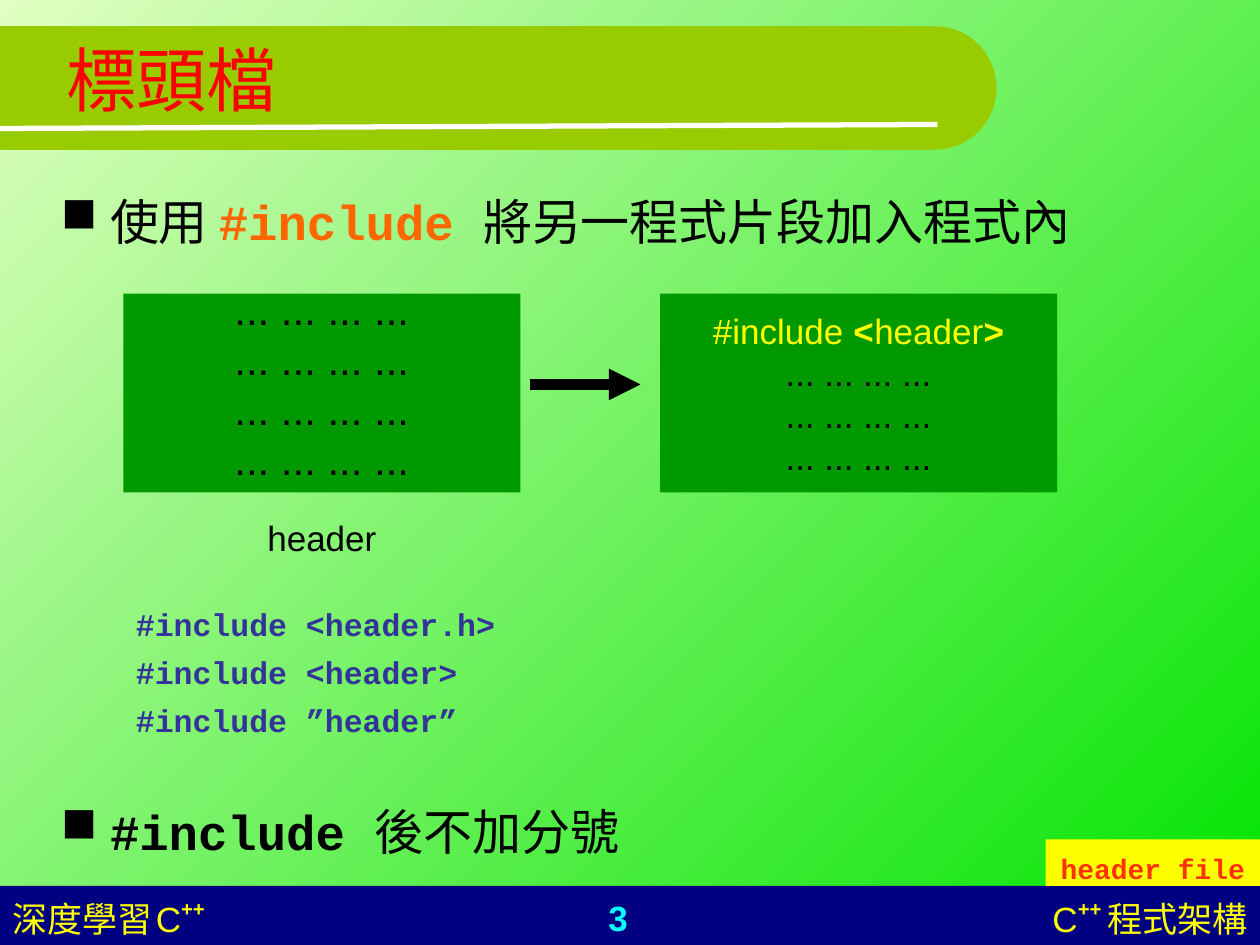
from dataclasses import dataclass
from math import cos, pi, sin

from lxml.etree import SubElement
from pptx import Presentation
from pptx.dml.color import RGBColor
from pptx.enum.shapes import MSO_CONNECTOR as Connector, MSO_SHAPE as Shape
from pptx.enum.text import MSO_ANCHOR as Anchor, MSO_AUTO_SIZE as AutoSize, PP_ALIGN as Align
from pptx.oxml.ns import qn
from pptx.util import Cm, Pt


@dataclass(frozen=True)
class Theme:
    sans: str = "Arial"
    mono: str = "Courier New"
    pale: str = "E0FFC1"
    green: str = "00E400"
    olive: str = "99CC00"
    panel: str = "009900"
    navy: str = "000080"
    black: str = "000000"
    white: str = "FFFFFF"
    red: str = "FF0000"
    orange: str = "FF6600"
    tag_red: str = "FF3300"
    indigo: str = "333399"
    yellow: str = "FFFF00"
    cyan: str = "00FFFF"
    title: int = 40
    bullet: int = 28
    dots: int = 24
    label: int = 20
    code: int = 18
    tag: int = 16
    gap: int = 8


THEME = Theme()
DOTS = "... ... ... ..."


def style_font(font, name=None, size=None, color=None, bold=None):
    if name:
        font.name = name
    if size:
        font.size = Pt(size)
    if color:
        font.color.rgb = RGBColor.from_string(color)
    if bold is not None:
        font.bold = bold


def write_paragraph(paragraph, runs, name, size, color, bold=False, align=Align.LEFT):
    paragraph.alignment = align
    style_font(paragraph.font, name, size, color, bold)
    for text, changes in runs:
        run = paragraph.add_run()
        run.text = text
        changes = dict(changes)
        raised = changes.pop("raised", False)
        style_font(run.font, **changes)
        if raised:
            run._r.get_or_add_rPr().set("baseline", "46000")


def add_text_box(slide, box):
    frame = slide.shapes.add_textbox(*map(Cm, box)).text_frame
    frame.word_wrap = True
    return frame


def add_filled(slide, box, color):
    shape = slide.shapes.add_shape(Shape.RECTANGLE, *map(Cm, box))
    fill_plain(shape, color)
    shape.text_frame.word_wrap = True
    return shape


def fill_plain(shape, color):
    shape.shadow.inherit = False
    shape.fill.solid()
    shape.fill.fore_color.rgb = RGBColor.from_string(color)
    shape.line.fill.background()


def add_line(slide, start, end, color, width):
    line = slide.shapes.add_connector(Connector.STRAIGHT, *map(Cm, start + end))
    line.line.color.rgb = RGBColor.from_string(color)
    line.line.width = Pt(width)
    SubElement(line._element.spPr, qn("a:effectLst"))
    return line


def paint_background(slide):
    fill = slide.background.fill
    fill.gradient()
    fill.gradient_angle = 315
    for stop, color in zip(fill.gradient_stops, (THEME.pale, THEME.green)):
        stop.color.rgb = RGBColor.from_string(color)


def add_banner(slide, box, text):
    left, top, width, height = box
    radius = height / 2
    center = left + width - radius
    steps = 40
    arc = [(Cm(center + radius * cos(angle)), Cm(top + radius + radius * sin(angle)))
           for angle in (pi * (step / steps - 0.5) for step in range(steps + 1))]
    builder = slide.shapes.build_freeform(Cm(left), Cm(top))
    builder.add_line_segments(arc + [(Cm(left), Cm(top + height))], close=True)
    fill_plain(builder.convert_to_shape(), THEME.olive)
    add_line(slide, (left, top + 2.06), (center + 0.05, top + 1.98), THEME.white, 3)

    title = slide.shapes.title
    slide.shapes._spTree.append(title._element)
    title.left, title.top, title.width, title.height = map(Cm, (left + 1.09, 0, 6.81, 3.18))
    frame = title.text_frame
    frame.auto_size = AutoSize.NONE
    frame.vertical_anchor = Anchor.MIDDLE
    write_paragraph(frame.paragraphs[0], [(text, {})], THEME.sans, THEME.title, THEME.red)


def add_bullet(slide, box, runs):
    paragraph = add_text_box(slide, box).paragraphs[0]
    properties = paragraph._p.get_or_add_pPr()
    properties.set("marL", str(Cm(1.47)))
    properties.set("indent", str(-Cm(0.99)))
    bullet_color = SubElement(properties, qn("a:buClr"))
    SubElement(bullet_color, qn("a:srgbClr")).set("val", THEME.black)
    SubElement(properties, qn("a:buChar")).set("char", "■")
    write_paragraph(paragraph, runs, THEME.mono, THEME.bullet, THEME.black)


def add_header_diagram(slide, box):
    left, top, width, height = box
    panel_width, panel_height = 8, 4.01

    header = add_filled(slide, (left, top, panel_width, panel_height), THEME.panel).text_frame
    header.vertical_anchor = Anchor.BOTTOM
    header.margin_top, header.margin_bottom = 0, Cm(0.18)
    for index in range(4):
        paragraph = header.add_paragraph() if index else header.paragraphs[0]
        paragraph.line_spacing = Pt(20)
        paragraph.space_before = Pt(8.6 if index else 0)
        write_paragraph(paragraph, [(DOTS, {})], THEME.sans, THEME.dots, THEME.black,
                        align=Align.CENTER)

    label = add_text_box(slide, (left, top + height - 1.1, panel_width, 1.1))
    write_paragraph(label.paragraphs[0], [("header", {})], THEME.sans, THEME.label,
                    THEME.black, align=Align.CENTER)

    right = left + width - panel_width
    program = add_filled(slide, (right, top, panel_width, panel_height), THEME.panel).text_frame
    program.vertical_anchor = Anchor.MIDDLE
    bracket = {"name": THEME.mono, "bold": True}
    include = [("#include ", {}), ("<", bracket), ("header", {}), (">", bracket)]
    lines = [(include, THEME.yellow)] + [([(DOTS, {})], THEME.black)] * 3
    for index, (runs, color) in enumerate(lines):
        paragraph = program.add_paragraph() if index else program.paragraphs[0]
        paragraph.line_spacing = Pt(24)
        write_paragraph(paragraph, runs, THEME.sans, THEME.label, color, align=Align.CENTER)

    middle = top + 1.83
    arrow = add_line(slide, (left + panel_width + 0.2, middle), (right - 0.4, middle),
                     THEME.black, 6)
    SubElement(arrow.line._get_or_add_ln(), qn("a:tailEnd")).set("type", "triangle")


def add_code(slide, box, lines):
    frame = add_text_box(slide, box)
    for index, line in enumerate(lines):
        paragraph = frame.add_paragraph() if index else frame.paragraphs[0]
        paragraph.space_before = Pt(5.9 if index else 0)
        write_paragraph(paragraph, [(line, {})], THEME.mono, THEME.code, THEME.indigo, True)


def add_tag(slide, box, text):
    frame = add_filled(slide, box, THEME.yellow).text_frame
    frame.vertical_anchor = Anchor.TOP
    frame.margin_top, frame.margin_bottom = Cm(0.25), 0
    write_paragraph(frame.paragraphs[0], [(text, {})], THEME.mono, THEME.tag,
                    THEME.tag_red, True, Align.CENTER)


def add_footer(slide, box):
    left, top, width, height = box
    add_filled(slide, box, THEME.navy)
    plus = {"bold": True, "raised": True}
    parts = [
        (left, 5.92, [("深度學習", {}), (" ", {"size": THEME.gap}), ("C", {}), ("++", plus)],
         THEME.yellow, False, Align.LEFT),
        (left + 9.5, 5.92, [("3", {})], THEME.cyan, True, Align.CENTER),
        (left + width - 7.11, 7.11, [("C", {}), ("++ ", plus), ("程式架構", {})],
         THEME.yellow, False, Align.RIGHT),
    ]
    for part_left, part_width, runs, color, bold, align in parts:
        frame = add_text_box(slide, (part_left, top + 0.08, part_width, height - 0.08))
        write_paragraph(frame.paragraphs[0], runs, THEME.sans, THEME.label, color, bold, align)


def main():
    presentation = Presentation()
    presentation.slide_width, presentation.slide_height = Cm(25.4), Cm(19.05)
    slide = presentation.slides.add_slide(presentation.slide_layouts[5])
    paint_background(slide)
    add_footer(slide, (0, 17.86, 25.4, 1.19))
    add_banner(slide, (0, 0.53, 20.09, 2.49), "標頭檔")
    include = ("#include ", {"color": THEME.orange, "bold": True})
    add_bullet(slide, (0.5, 3.73, 23.8, 1.5),
               [("使用 ", {}), include, ("將另一程式片段加入程式內", {})])
    add_header_diagram(slide, (2.49, 5.92, 18.82, 5.47))
    add_code(slide, (2.49, 12.07, 10, 2.9),
             ["#include <header.h>", "#include <header>", "#include ”header”"])
    add_bullet(slide, (0.5, 16.03, 20, 1.5),
               [("#include ", {"bold": True}), ("後不加分號", {})])
    add_tag(slide, (21.08, 16.92, 4.32, 0.94), "header file")
    presentation.save("out.pptx")


if __name__ == "__main__":
    main()
